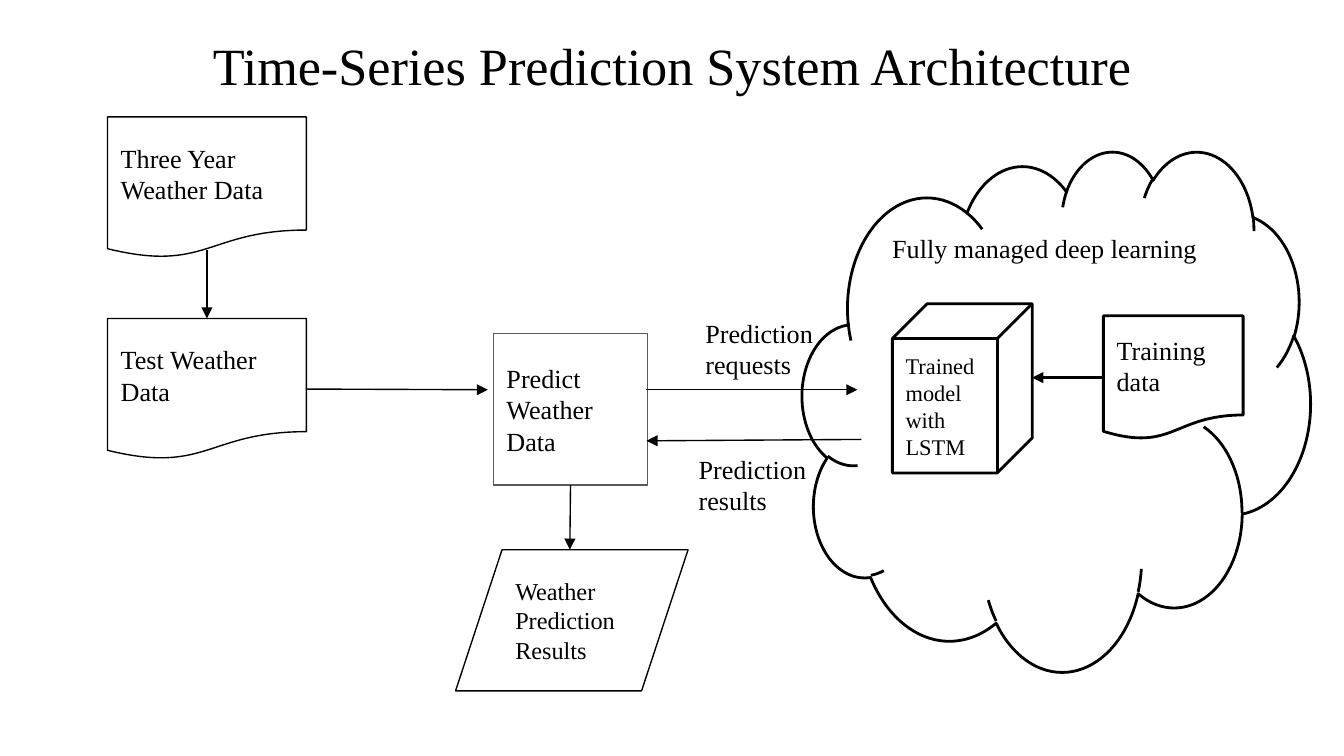
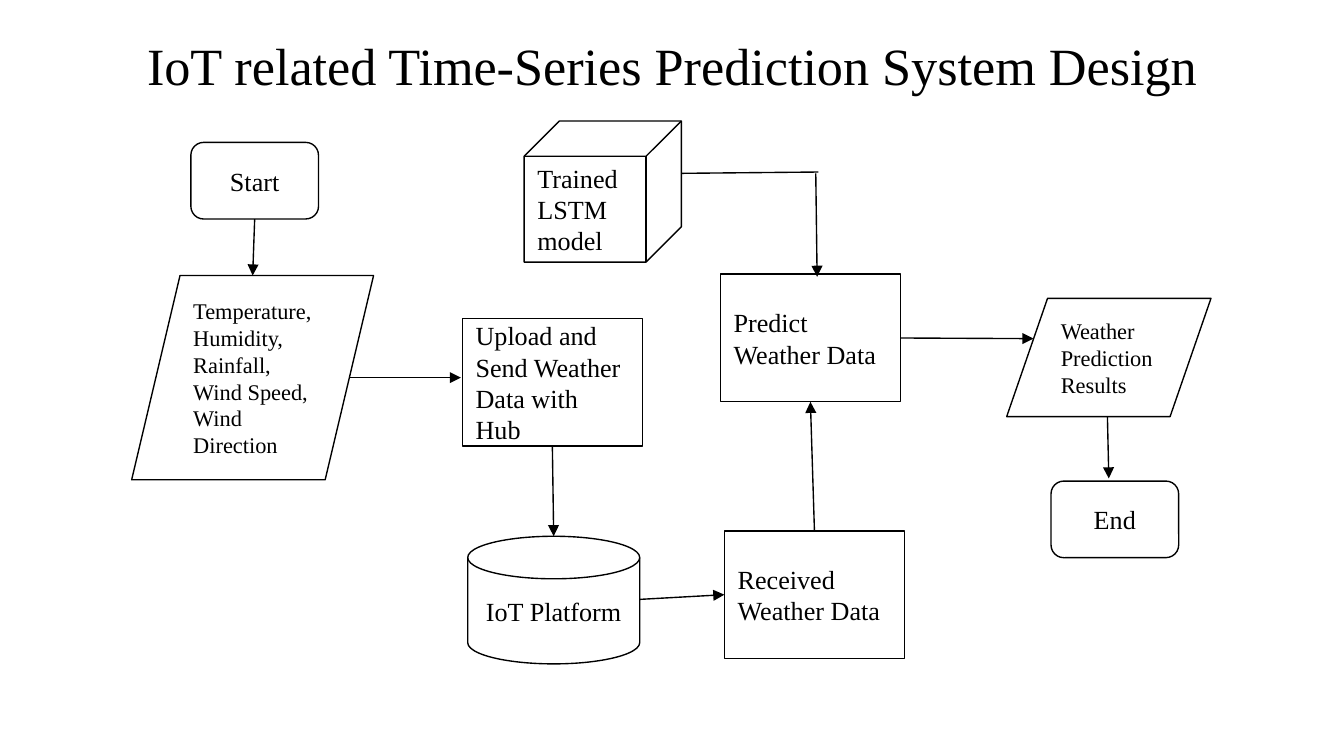
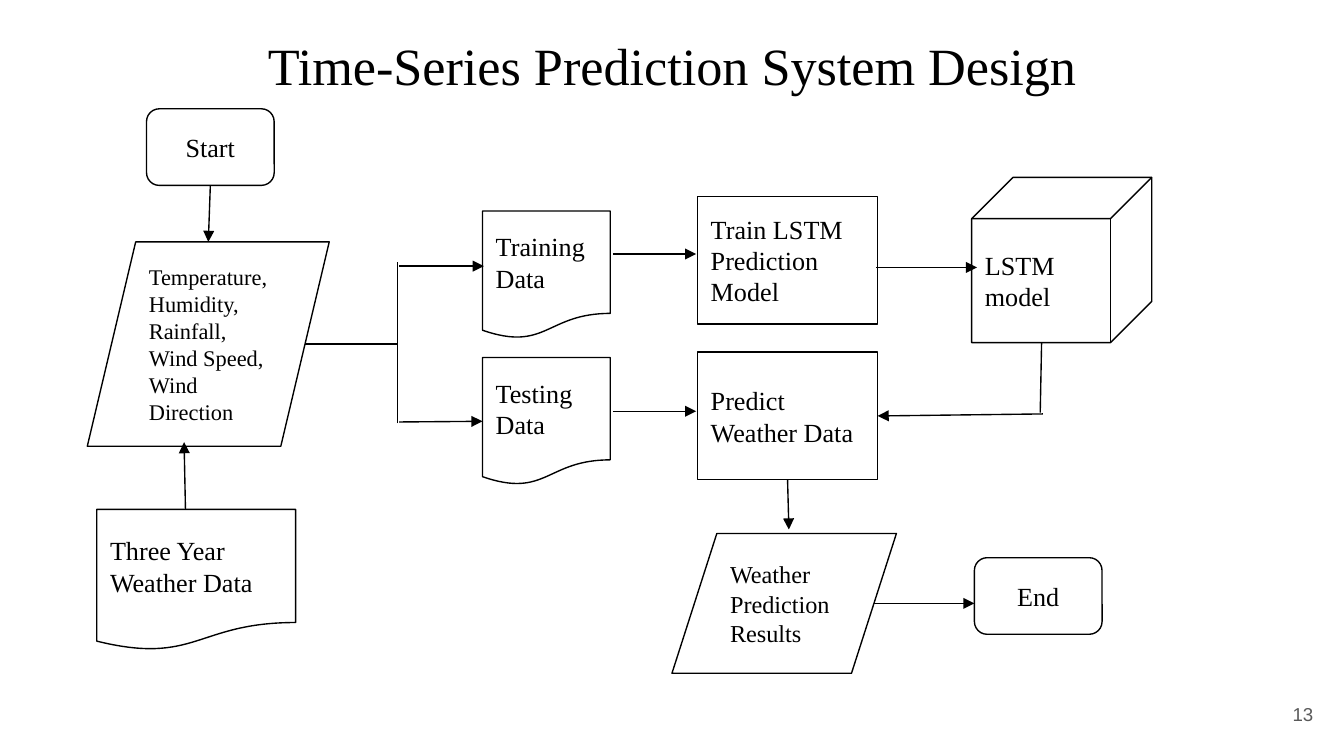
from dataclasses import dataclass, field
from typing import NamedTuple, Optional, Union

import pptx
import pptx.dml.color
import pptx.enum.shapes
import pptx.enum.text
import pptx.oxml
import pptx.oxml.ns
import pptx.util

SHAPE = pptx.enum.shapes.MSO_SHAPE
ALIGN = pptx.enum.text.PP_ALIGN
ANCHOR = pptx.enum.text.MSO_ANCHOR

# Shared style
INK, GREY, PAPER = "000000", "595959", "FFFFFF"
SERIF, SANS = "Times New Roman", "Arial"
THIN, BOLD = 0.75, 1.5
INSET = pptx.util.Inches(0.1)

# Grid: 100 columns by 56.25 rows of square cells
SLIDE_W, SLIDE_H = pptx.util.Inches(10), pptx.util.Inches(5.625)
COL, ROW = SLIDE_W / 100, SLIDE_H / 56.25

TOP, LEFT, BOTTOM, RIGHT = range(4)


class Size(NamedTuple):
    cols: float
    rows: float


class Point(NamedTuple):
    col: float
    row: float


class Side(NamedTuple):
    node: str
    site: int


End = Union[Point, Side]

# Sizes that recur in the flow charts
STEP = Size(13.4, 9.5)
TERMINAL = Size(9.5, 5.7)
READINGS = Size(18, 15.2)
ARCHIVE = Size(14.8, 10.5)
SPLIT = Size(9.5, 9.5)
LABEL = Size(11.5, 6.3)
READINGS_TEXT = "Temperature, Humidity, Rainfall, Wind Speed, Wind Direction"
RESULTS_TEXT = "Weather Prediction Results"

# Kinds of flow chart symbols
BOX = SHAPE.RECTANGLE
DOCUMENT = SHAPE.FLOWCHART_DOCUMENT
DATA = SHAPE.FLOWCHART_DATA
ROUNDED = SHAPE.FLOWCHART_ALTERNATE_PROCESS
DISK = SHAPE.FLOWCHART_MAGNETIC_DISK
CUBE, CLOUD = SHAPE.CUBE, SHAPE.CLOUD


@dataclass
class Node:
    name: str
    kind: Optional[SHAPE]  # None is a plain label
    col: float
    row: float
    size: Size
    text: str = ""
    pt: float = 14
    weight: float = THIN
    line: str = INK


@dataclass
class Link:
    start: End
    end: End
    head: bool = True
    weight: float = THIN


@dataclass
class Chart:
    title: str
    nodes: list[Node]
    links: list[Link]
    number: str = field(default="")


def rgb(color: str) -> pptx.dml.color.RGBColor:
    return pptx.dml.color.RGBColor.from_string(color)


def place(col: float, row: float, size: Size) -> list[int]:
    return [round(v) for v in (col * COL, row * ROW, size.cols * COL, size.rows * ROW)]


def write(tf, text: str, *, pt: float = 14, font: str = SERIF, color: str = INK,
          align=ALIGN.LEFT, anchor=ANCHOR.TOP) -> None:
    tf.word_wrap = True
    tf.vertical_anchor = anchor
    tf.margin_left = tf.margin_right = tf.margin_top = tf.margin_bottom = INSET
    for i, line in enumerate(text.split("\n")):
        p = tf.paragraphs[0] if i == 0 else tf.add_paragraph()
        p.alignment = align
        r = p.add_run()
        r.text = line
        r.font.size = pptx.util.Pt(pt)
        r.font.name = font
        r.font.color.rgb = rgb(color)


def add_label(s, col: float, row: float, size: Size, text: str, **style):
    sp = s.shapes.add_textbox(*place(col, row, size))
    write(sp.text_frame, text, **style)
    return sp


def add_node(s, node: Node):
    if node.kind is None:
        return add_label(s, node.col, node.row, node.size, node.text, pt=node.pt)
    sp = s.shapes.add_shape(node.kind, *place(node.col, node.row, node.size))
    sp.shadow.inherit = False
    sp.fill.background()
    sp.line.color.rgb = rgb(node.line)
    sp.line.width = pptx.util.Pt(node.weight)
    if node.text:
        centred = node.kind in (ROUNDED, DISK)
        write(sp.text_frame, node.text, pt=node.pt, anchor=ANCHOR.MIDDLE,
              align=ALIGN.CENTER if centred else ALIGN.LEFT)
    return sp


def add_link(s, link: Link, shapes: dict) -> None:
    ends = [(0, 0) if isinstance(e, Side) else (round(e.col * COL), round(e.row * ROW))
            for e in (link.start, link.end)]
    cx = s.shapes.add_connector(pptx.enum.shapes.MSO_CONNECTOR.STRAIGHT, *ends[0], *ends[1])
    for end, join in ((link.start, cx.begin_connect), (link.end, cx.end_connect)):
        if isinstance(end, Side):
            join(shapes[end.node], end.site)
    cx.line.color.rgb = rgb(INK)
    cx.line.width = pptx.util.Pt(link.weight)
    if link.head:
        tail = pptx.oxml.parse_xml(f'<a:tailEnd {pptx.oxml.ns.nsdecls("a")} type="triangle"/>')
        cx.line._get_or_add_ln().append(tail)
    sp_pr = cx._element.spPr
    sp_pr.append(pptx.oxml.parse_xml(f'<a:effectLst {pptx.oxml.ns.nsdecls("a")}/>'))


def add_chart_slide(prs, chart: Chart) -> None:
    s = prs.slides.add_slide(prs.slide_layouts[6])
    s.background.fill.solid()
    s.background.fill.fore_color.rgb = rgb(PAPER)
    add_label(s, 3.4, 1.5, Size(93.2, 6.3), chart.title, pt=28, align=ALIGN.CENTER)
    shapes = {node.name: add_node(s, node) for node in chart.nodes}
    for link in chart.links:
        add_link(s, link, shapes)
    if chart.number:
        add_label(s, 92.7, 51, Size(6, 4.3), chart.number, pt=10, font=SANS, color=GREY,
                  align=ALIGN.RIGHT, anchor=ANCHOR.MIDDLE)


ARCHITECTURE = Chart(
    "Time-Series Prediction System Architecture",
    [
        Node("model", CUBE, 66.4, 22.6, Size(10.4, 12.6), "Trained model with LSTM", 12, BOLD),
        Node("training", DOCUMENT, 82.1, 23.5, Size(10.4, 9.2), "Training data", weight=BOLD),
        Node("predict", BOX, 36.7, 24.8, Size(11.5, 11.3), "Predict Weather Data", line=GREY),
        Node("results", DATA, 33.9, 40.9, Size(17.3, 10.5), RESULTS_TEXT, 13),
        Node("service", None, 65.4, 16.3, Size(32, 6.1), "Fully managed deep learning"),
        Node("response", None, 51, 32.7, LABEL, "Prediction results"),
        Node("request", None, 51.5, 22.6, LABEL, "Prediction requests"),
        Node("cloud", CLOUD, 59.7, 11.2, Size(37.8, 38.7), weight=BOLD),
        Node("archive", DOCUMENT, 8, 8.7, ARCHIVE, "Three Year Weather Data"),
        Node("test", DOCUMENT, 8, 23.7, ARCHIVE, "Test Weather\nData"),
    ],
    [
        Link(Side("predict", BOTTOM), Point(42.4, 40.9)),
        Link(Side("training", LEFT), Point(76.8, 28.1), weight=BOLD),
        Link(Point(64.1, 32.7), Point(48.1, 32.8)),
        Link(Point(48.1, 29), Point(63.8, 29)),
        Link(Point(15.4, 18.6), Side("test", TOP)),
        Link(Side("test", RIGHT), Point(36.3, 29)),
    ],
)

IOT_DESIGN = Chart(
    "IoT related Time-Series Prediction System Design",
    [
        Node("start", ROUNDED, 14.2, 10.6, TERMINAL, "Start"),
        Node("readings", DATA, 9.8, 20.5, READINGS, READINGS_TEXT, 12),
        Node("upload", BOX, 34.4, 23.7, STEP, "Upload and Send Weather Data with Hub"),
        Node("platform", DISK, 34.8, 39.9, Size(12.8, 9.5), "IoT Platform"),
        Node("received", BOX, 53.9, 39.5, STEP, "Received Weather Data"),
        Node("results", DATA, 74.9, 22.2, Size(15.2, 8.8), RESULTS_TEXT, 12),
        Node("end", ROUNDED, 78.2, 35.8, TERMINAL, "End"),
        Node("model", CUBE, 39, 9, Size(11.7, 10.5), "Trained\nLSTM model"),
        Node("predict", BOX, 53.6, 20.4, STEP, "Predict Weather Data"),
    ],
    [
        Link(Side("start", BOTTOM), Point(18.8, 20.5)),
        Link(Point(26, 28.1), Point(34.3, 28.1)),
        Link(Side("upload", BOTTOM), Point(41.2, 39.9)),
        Link(Point(47.6, 44.6), Side("received", LEFT)),
        Link(Side("received", TOP), Side("predict", BOTTOM)),
        Link(Point(50.7, 12.9), Point(60.9, 12.8), head=False),
        Link(Point(60.7, 12.9), Point(60.8, 20.6)),
        Link(Side("predict", RIGHT), Point(76.9, 25.2)),
        Link(Point(82.4, 31), Point(82.5, 35.6)),
    ],
)

DESIGN = Chart(
    "Time-Series Prediction System Design",
    [
        Node("start", ROUNDED, 10.9, 8.1, TERMINAL, "Start"),
        Node("readings", DATA, 6.5, 18, READINGS, READINGS_TEXT, 12),
        Node("predict", BOX, 51.9, 26.2, STEP, "Predict Weather Data"),
        Node("results", DATA, 50, 39.7, Size(16.7, 10.4), RESULTS_TEXT, 13),
        Node("end", ROUNDED, 72.5, 41.5, TERMINAL, "End"),
        Node("training", DOCUMENT, 35.9, 15.7, SPLIT, "Training Data"),
        Node("testing", DOCUMENT, 35.9, 26.6, SPLIT, "Testing Data"),
        Node("model", CUBE, 72.3, 13.2, Size(13.4, 12.3), "LSTM model"),
        Node("train", BOX, 51.9, 14.6, STEP, "Train LSTM Prediction Model"),
        Node("archive", DOCUMENT, 7.2, 37.9, ARCHIVE, "Three Year Weather Data"),
    ],
    [
        Link(Side("start", BOTTOM), Point(15.5, 18)),
        Link(Side("predict", BOTTOM), Point(58.7, 39.4)),
        Link(Point(65, 44.9), Point(72.5, 44.9)),
        # Fork into training and testing data
        Link(Point(22.7, 25.6), Point(29.6, 25.6), head=False),
        Link(Point(29.6, 25.7), Point(29.6, 19.5), head=False),
        Link(Point(29.6, 31.5), Point(29.6, 25.4), head=False),
        Link(Point(29.7, 19.8), Point(36, 19.8)),
        Link(Point(29.7, 31.4), Side("testing", LEFT)),
        Link(Point(45.6, 30.6), Point(51.8, 30.6)),
        Link(Point(45.6, 18.9), Point(51.8, 18.9)),
        # From the trained model to the prediction
        Link(Point(65.2, 19.9), Point(72.7, 19.9)),
        Link(Point(77.6, 30.8), Side("predict", RIGHT)),
        Link(Point(77.5, 25.5), Point(77.4, 30.7), head=False),
        Link(Point(13.8, 37.9), Point(13.7, 32.9)),
    ],
    number="13",
)


def main() -> None:
    prs = pptx.Presentation()
    prs.slide_width, prs.slide_height = SLIDE_W, SLIDE_H
    for chart in (ARCHITECTURE, IOT_DESIGN, DESIGN):
        add_chart_slide(prs, chart)
    prs.save("out.pptx")


if __name__ == "__main__":
    main()
